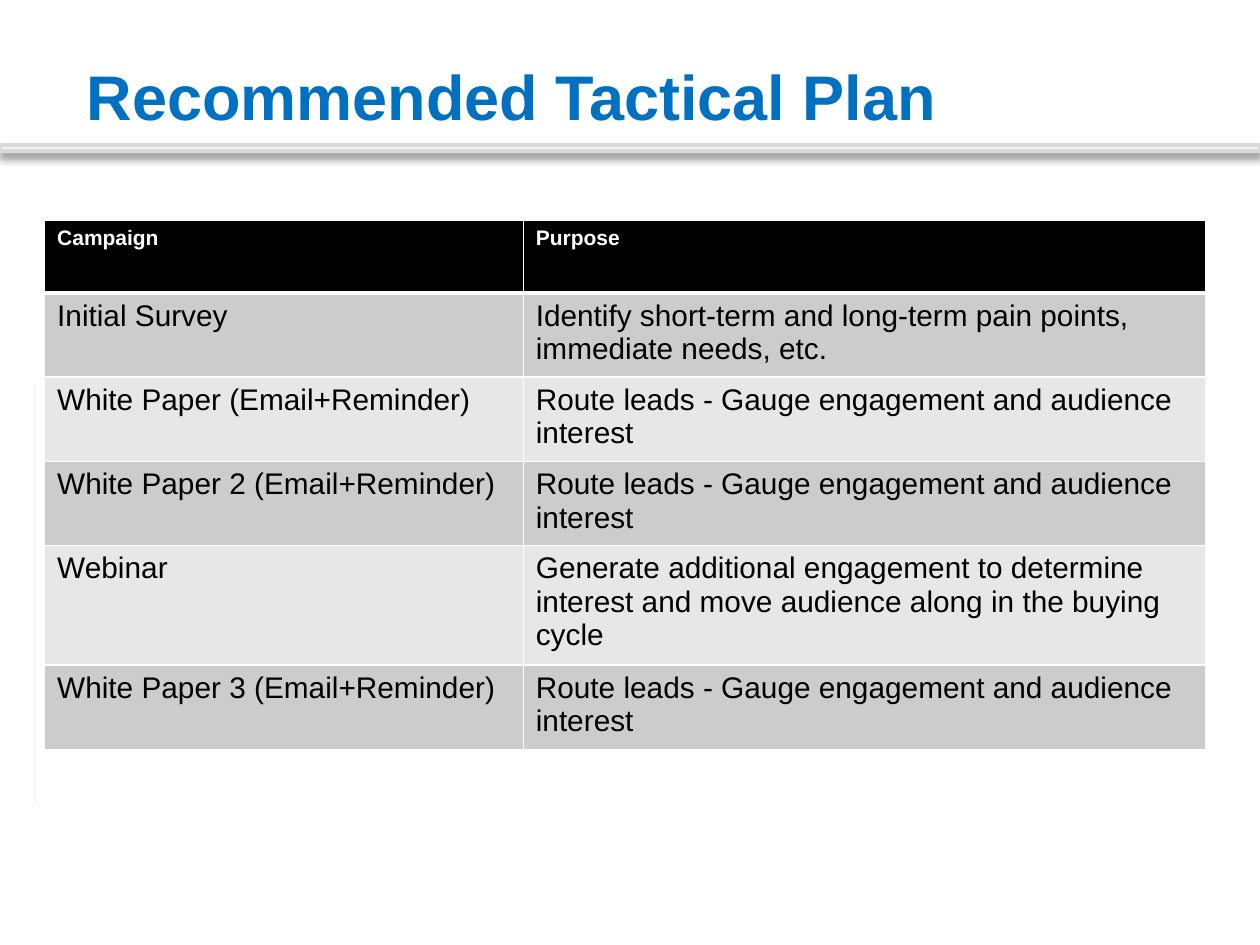
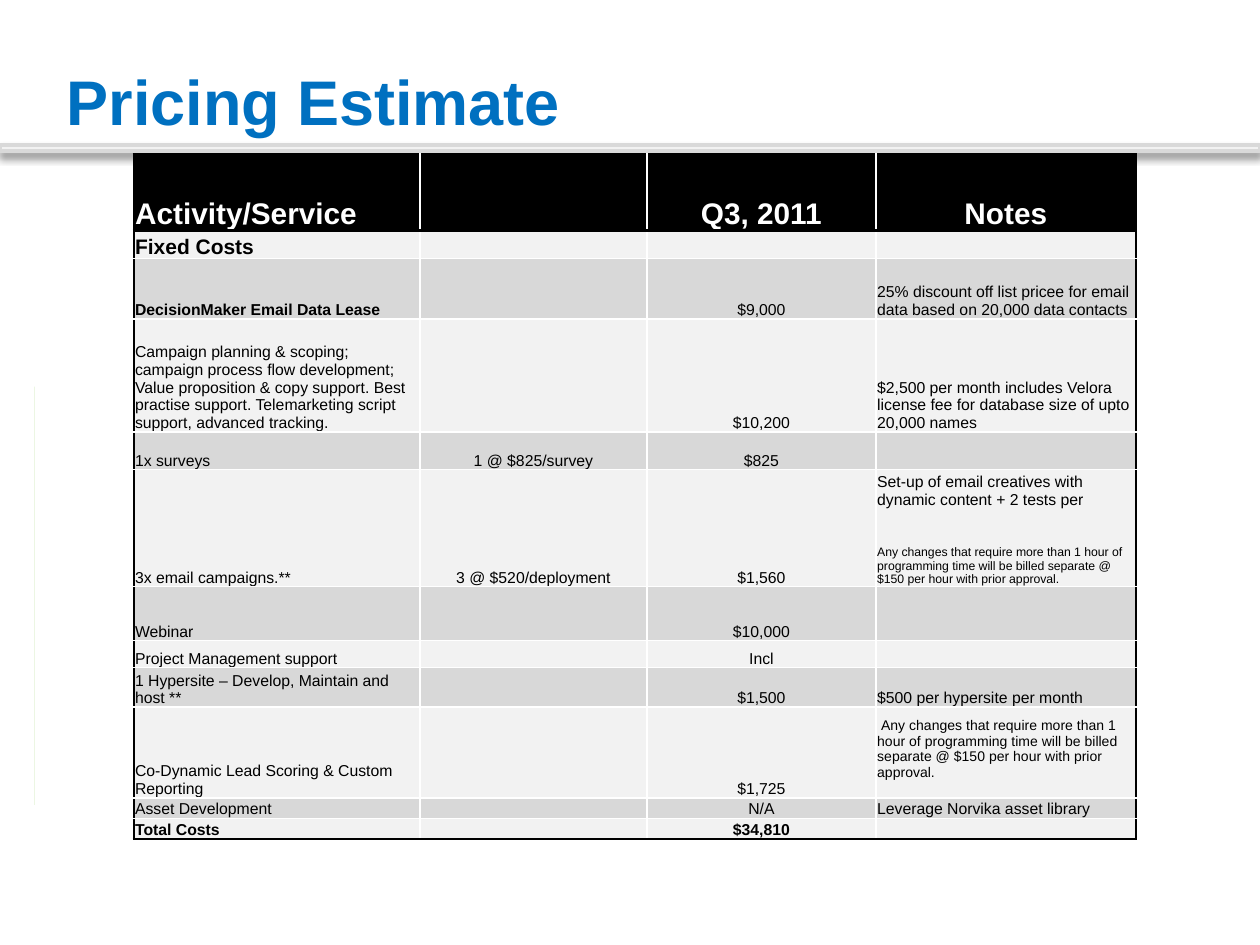
from lxml.etree import SubElement
from pptx import Presentation
from pptx.dml.color import RGBColor
from pptx.enum.shapes import MSO_SHAPE as Shape
from pptx.enum.text import MSO_ANCHOR as Anchor, PP_ALIGN as Align
from pptx.oxml.ns import qn
from pptx.util import Pt

FONT = "Arial"
BLACK, WHITE = "000000", "FFFFFF"
TITLE_BLUE = "0070C0"
BAND_FILL, BAND_EDGE = "F2F2F2", "D9D9D9"
SLIVER_GREEN = "6BBA27"
PLAN_BANDS = ("E7E7E7", "CCCCCC")
PRICE_BANDS = ("D8D8D8", "F2F2F2")
THIN, OUTER, HEAVY = (WHITE, 1), (BLACK, 1.5), (WHITE, 3)


def color(hex_text):
    return RGBColor.from_string(hex_text)


def fill_cell(cell, text, fill, borders, margins, anchor, align, font):
    """Set the borders (left, right, top, bottom), fill and text of a cell."""
    properties = cell._tc.get_or_add_tcPr()
    for side, border in zip("LRTB", borders):
        edge = SubElement(properties, qn(f"a:ln{side}"))
        if border is None:
            SubElement(edge, qn("a:noFill"))
            continue
        edge.set("w", str(Pt(border[1])))
        solid = SubElement(edge, qn("a:solidFill"))
        SubElement(solid, qn("a:srgbClr"), val=border[0])
    cell.fill.solid()
    cell.fill.fore_color.rgb = color(fill)
    for side, margin in zip(("left", "right", "top", "bottom"), margins):
        setattr(cell, f"margin_{side}", Pt(margin))
    cell.vertical_anchor = anchor
    paragraph = cell.text_frame.paragraphs[0]
    paragraph.alignment = align
    if not text:
        # Keep an empty cell from stretching its row
        SubElement(paragraph._p, qn("a:endParaRPr"), sz="600")
        return
    run = paragraph.add_run()
    run.text = text
    run.font.color.rgb = color(WHITE if fill == BLACK else BLACK)
    for name, value in font.items():
        setattr(run.font, name, value)


deck = Presentation()
deck.slide_width, deck.slide_height = Pt(720), Pt(540)

# Shared frame: side sliver, band under the title, title
titles = [
    ("Recommended Tactical Plan", 42.5, 9.4, 90),
    ("Pricing Estimate", 31, 26, 62.6),
]
slides = []
for title, left, top, height in titles:
    slide = deck.slides.add_slide(deck.slide_layouts[6])
    slides.append(slide)

    sliver = slide.shapes.add_shape(Shape.RECTANGLE, Pt(19.5), Pt(221), Pt(0.1), Pt(239))
    sliver.shadow.inherit = False
    sliver.fill.solid()
    sliver.fill.fore_color.rgb = color(SLIVER_GREEN)
    sliver.line.fill.background()

    band = slide.shapes.add_shape(Shape.RECTANGLE, 0, Pt(82.8), Pt(720), Pt(3.6))
    band.shadow.inherit = False
    band.fill.solid()
    band.fill.fore_color.rgb = color(BAND_FILL)
    band.line.color.rgb = color(BAND_EDGE)
    band.line.width = Pt(2)
    effects = band._element.spPr.find(qn("a:effectLst"))
    shadow = SubElement(effects, qn("a:outerShdw"), blurRad=str(Pt(4)), dist=str(Pt(3)),
                        dir="5400000", rotWithShape="0")
    shade = SubElement(shadow, qn("a:srgbClr"), val=BLACK)
    SubElement(shade, qn("a:alpha"), val="40000")

    heading = slide.shapes.add_textbox(Pt(left), Pt(top), Pt(648), Pt(height)).text_frame
    heading.word_wrap = True
    heading.vertical_anchor = Anchor.MIDDLE
    run = heading.paragraphs[0].add_run()
    run.text = title
    run.font.color.rgb = color(TITLE_BLUE)
    for name, value in {"name": FONT, "size": Pt(36), "bold": True}.items():
        setattr(run.font, name, value)

plan_slide, pricing_slide = slides

# Tactical plan table
route_leads = "Route leads - Gauge engagement and audience interest"
campaigns = [
    ("Campaign", "Purpose"),
    ("Initial Survey", "Identify short-term and long-term pain points, immediate needs, etc."),
    ("White Paper (Email+Reminder)", route_leads),
    ("White Paper 2 (Email+Reminder)", route_leads),
    ("Webinar", "Generate additional engagement to determine interest "
                "and move audience along in the buying cycle"),
    ("White Paper 3 (Email+Reminder)", route_leads),
]
plan = plan_slide.shapes.add_table(len(campaigns), 2, Pt(25.5), Pt(126), Pt(663.5), Pt(242)).table
plan.horz_banding = False
for column, width in zip(plan.columns, (273.5, 390)):
    column.width = Pt(width)
for r, campaign in enumerate(campaigns):
    header = r == 0
    plan.rows[r].height = Pt(41.5 if header else 40)
    font = {"name": FONT, "size": Pt(12 if header else 17), "bold": header}
    borders = (THIN, THIN, HEAVY if r == 1 else THIN, HEAVY if header else THIN)
    for c, text in enumerate(campaign):
        fill_cell(plan.cell(r, c), text, BLACK if header else PLAN_BANDS[r % 2], borders,
                  (7.2, 7.2, 3.6, 3.6), Anchor.TOP, Align.LEFT, font)

# Pricing table: row height, activity, quantity, price, notes
extra_work = ("Any changes that require more than 1 hour of programming time will be billed "
              "separate @ $150 per hour with prior approval.")
costs = [
    (43.5, "Activity/Service", "", "Q3, 2011", "Notes"),
    (16, "Fixed Costs", "", "", ""),
    (34.5, "DecisionMaker Email Data Lease", "", "$9,000",
     "25% discount off list pricee for email data based on 20,000 data contacts"),
    (64.5, "Campaign planning & scoping; campaign process flow development; Value proposition "
           "& copy support. Best practise support. Telemarketing script support, "
           "advanced tracking.", "", "$10,200",
     "$2,500 per month includes Velora license fee for database size of upto 20,000 names"),
    (21.5, "1x surveys", "1 @ $825/survey", "$825", ""),
    (22.3, "3x email campaigns.**", "3 @ $520/deployment", "$1,560",
     "Set-up of email creatives with dynamic content + 2 tests per"),
    (44.5, "", "", "", extra_work),
    (31, "Webinar", "", "$10,000", ""),
    (15.5, "Project Management support", "", "Incl", ""),
    (22.5, "1 Hypersite – Develop, Maintain and host **", "", "$1,500",
     "$500 per hypersite per month"),
    (52, "Co-Dynamic Lead Scoring & Custom Reporting", "", "$1,725", "\u00a0" + extra_work),
    (11.6, "Asset Development", "", "N/A", "Leverage Norvika asset library"),
    (12, "Total Costs", "", "$34,810", ""),
]
EMAILS, EMAIL_CHANGES, SCORING = 5, 6, 10
LAST_ROW, NOTES = len(costs) - 1, 3
row_sizes = {0: 17, 1: 12}
note_sizes = {EMAIL_CHANGES: 7, SCORING: 8}
bold_cells = {(2, 0)} | {(r, c) for r in (0, 1, LAST_ROW) for c in range(4)}

pricing = pricing_slide.shapes.add_table(len(costs), 4, Pt(76.5), Pt(88.3), Pt(572.5), Pt(391.4)).table
pricing.horz_banding = False
for column, width in zip(pricing.columns, (163.5, 129.6, 131, 148.4)):
    column.width = Pt(width)
for r, (height, *texts) in enumerate(costs):
    pricing.rows[r].height = Pt(height)
    # The email campaigns take two rows of one band
    band_index = r if r < EMAIL_CHANGES else r - 1
    fill = PRICE_BANDS[band_index % 2] if r else BLACK
    for c, text in enumerate(texts):
        size = row_sizes.get(r, 9)
        if c == NOTES:
            size = note_sizes.get(r, size)
        borders = [
            OUTER if c == 0 else THIN,
            OUTER if c == NOTES else THIN,
            OUTER if r < 2 else THIN,
            OUTER if r in (0, LAST_ROW) else THIN,
        ]
        if r == EMAILS and c == NOTES:
            borders[3] = None
        if r == EMAIL_CHANGES and c == NOTES:
            borders[2] = None
        bottom = 10 if (r, c) == (SCORING, NOTES) else 0
        centred = c in (1, 2) or (r == 0 and c == NOTES)
        fill_cell(pricing.cell(r, c), text, fill, borders, (0.7, 0.7, 0.7, bottom),
                  Anchor.BOTTOM, Align.CENTER if centred else Align.LEFT,
                  {"name": FONT, "size": Pt(size), "bold": (r, c) in bold_cells})
for c in range(NOTES):
    pricing.cell(EMAILS, c).merge(pricing.cell(EMAIL_CHANGES, c))

deck.save("out.pptx")
